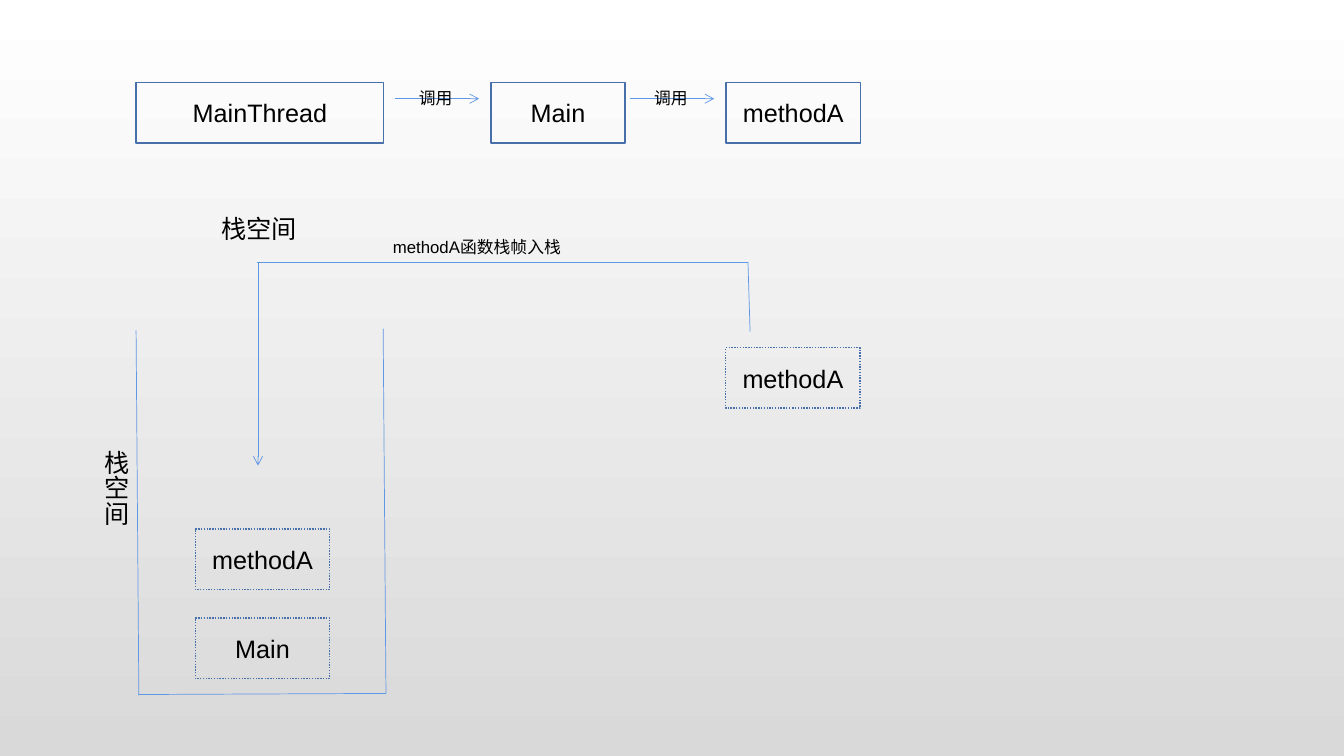
from lxml import etree
from pptx import Presentation
from pptx.dml.color import RGBColor
from pptx.enum.dml import MSO_LINE
from pptx.enum.shapes import MSO_CONNECTOR, MSO_SHAPE
from pptx.enum.text import MSO_ANCHOR, MSO_AUTO_SIZE, PP_ALIGN
from pptx.oxml.ns import qn
from pptx.util import Pt

DOTTED = MSO_LINE.ROUND_DOT
STRAIGHT = MSO_CONNECTOR.STRAIGHT
RECTANGLE = MSO_SHAPE.RECTANGLE
MIDDLE = MSO_ANCHOR.MIDDLE
CENTER, LEFT = PP_ALIGN.CENTER, PP_ALIGN.LEFT
GROW = MSO_AUTO_SIZE.SHAPE_TO_FIT_TEXT

FONT = "Arial"
INK, FRAME_BLUE, LINE_BLUE = "000000", "476FAA", "6096E6"
FRAME_W, FRAME_H = 96, 43.2
THREAD_W = 177


def color(hex_value):
    return RGBColor.from_string(hex_value)


def write(frame, words, size, align):
    paragraph = frame.paragraphs[0]
    paragraph.alignment = align
    run = paragraph.add_run()
    run.text = words
    run.font.name = FONT
    run.font.size = Pt(size)
    run.font.color.rgb = color(INK)


def add_frame(slide, left, top, name, width=FRAME_W, dotted=False):
    frame = slide.shapes.add_shape(RECTANGLE, Pt(left), Pt(top), Pt(width), Pt(FRAME_H))
    frame.shadow.inherit = False
    frame.fill.background()
    frame.line.color.rgb = color(FRAME_BLUE)
    frame.line.width = Pt(1)
    if dotted:
        frame.line.dash_style = DOTTED
    frame.text_frame.vertical_anchor = MIDDLE
    write(frame.text_frame, name, 18, CENTER)


def add_label(slide, left, top, width, height, words, size, wrap=False, vertical=False):
    label = slide.shapes.add_textbox(Pt(left), Pt(top), Pt(width), Pt(height))
    body = label.text_frame
    body.word_wrap = wrap
    body.auto_size = GROW
    if vertical:
        body._txBody.find(qn("a:bodyPr")).set("vert", "eaVert")
    write(body, words, size, LEFT)


def add_line(slide, x1, y1, x2, y2, arrow=False):
    line = slide.shapes.add_connector(STRAIGHT, Pt(x1), Pt(y1), Pt(x2), Pt(y2))
    line.line.color.rgb = color(LINE_BLUE)
    line.line.width = Pt(0.5)
    if arrow:
        etree.SubElement(line.line._get_or_add_ln(), qn("a:tailEnd"), type="arrow")
    etree.SubElement(line._element.spPr, qn("a:effectLst"))


def call_chain(slide, left, top):
    """Thread and the functions it calls in turn."""
    add_frame(slide, left, top, "MainThread", THREAD_W)
    for index, function in enumerate(("Main", "methodA")):
        function_left = left + 253.4 + 168 * index
        arrow_left = function_left - 68.4
        add_line(slide, arrow_left, top + 11.5, arrow_left + 60, top + 11.5, arrow=True)
        add_label(slide, arrow_left + 10, top, 38.2, 21.6, "调用", 12)
        add_frame(slide, function_left, top, function)


def stack_space(slide, left, top):
    """Open-topped stack with its frames and both titles."""
    # Walls and floor
    add_line(slide, left, top + 1.2, left + 2, top + 262)
    add_line(slide, left + 2, top + 261.4, left + 178.5, top + 260.6)
    add_line(slide, left + THREAD_W - 0.5, top, left + 178.5, top + 260.6)
    # Stack frames, newest on top
    for index, function in enumerate(("methodA", "Main")):
        add_frame(slide, left + 42.3, top + 143.2 + 63.5 * index, function, dotted=True)
    # Titles
    add_label(slide, left + 54, top - 85.7, 68.4, 28.8, "栈空间", 18)
    add_label(slide, left - 36, top + 80, 36, 61.2, "栈空间", 18, vertical=True)


def push_route(slide, left, top):
    """Path of the new frame into the stack."""
    right = left + 350
    add_line(slide, right + 1.5, top + 49.7, right, top)
    add_line(slide, right, top, left - 1, top)
    add_line(slide, left, top, left, top + 145.4, arrow=True)
    add_label(slide, left + 89.3, top - 21.6, 216, 21.6, "methodA函数栈帧入栈", 12, wrap=True)
    add_frame(slide, right - 15.9, top + 61.2, "methodA", dotted=True)


deck = Presentation()
deck.slide_width, deck.slide_height = Pt(960), Pt(540)
slide = deck.slides.add_slide(deck.slide_layouts[6])

# Background fading downwards
backdrop = slide.background.fill
backdrop.gradient()
backdrop.gradient_angle = 270
for stop, shade in zip(backdrop.gradient_stops, ("FFFFFF", "D9D9D9")):
    stop.color.rgb = color(shade)

call_chain(slide, 97.2, 59)
stack_space(slide, 97.2, 234.7)
push_route(slide, 184.3, 187.2)

deck.save("out.pptx")
